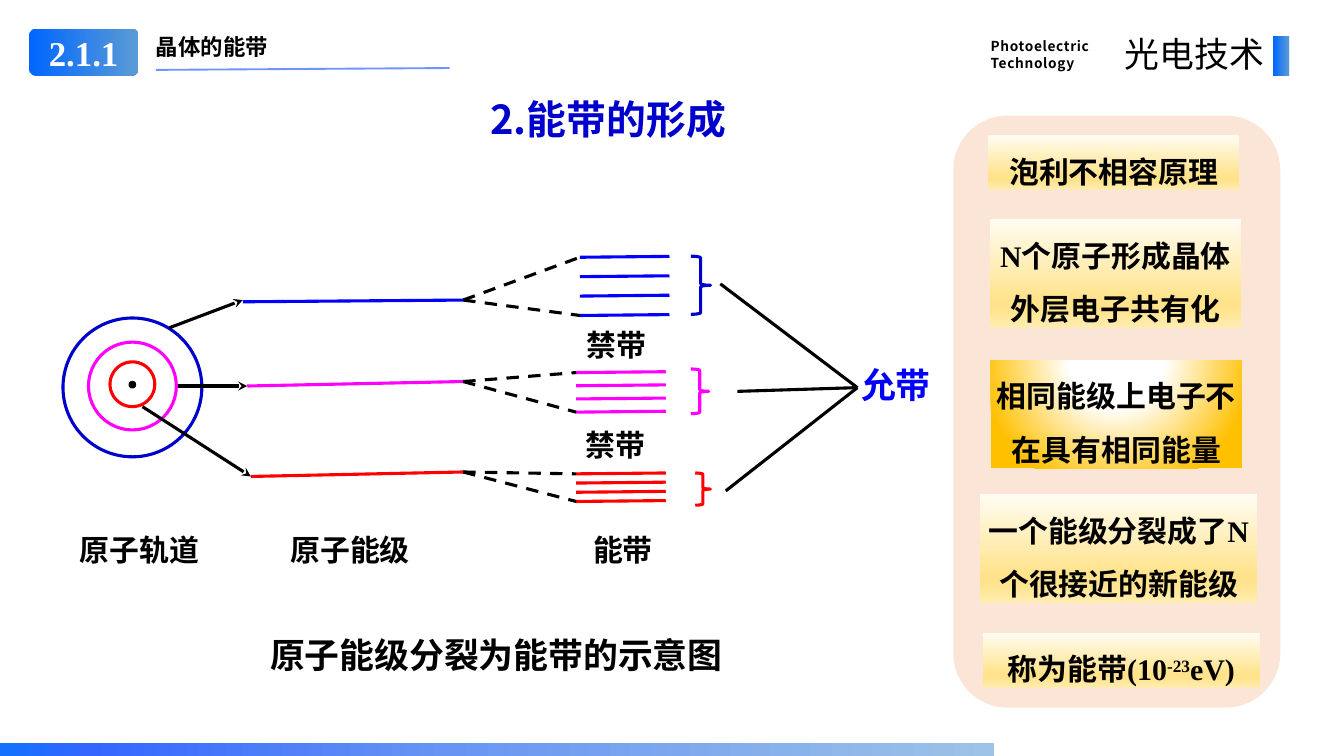
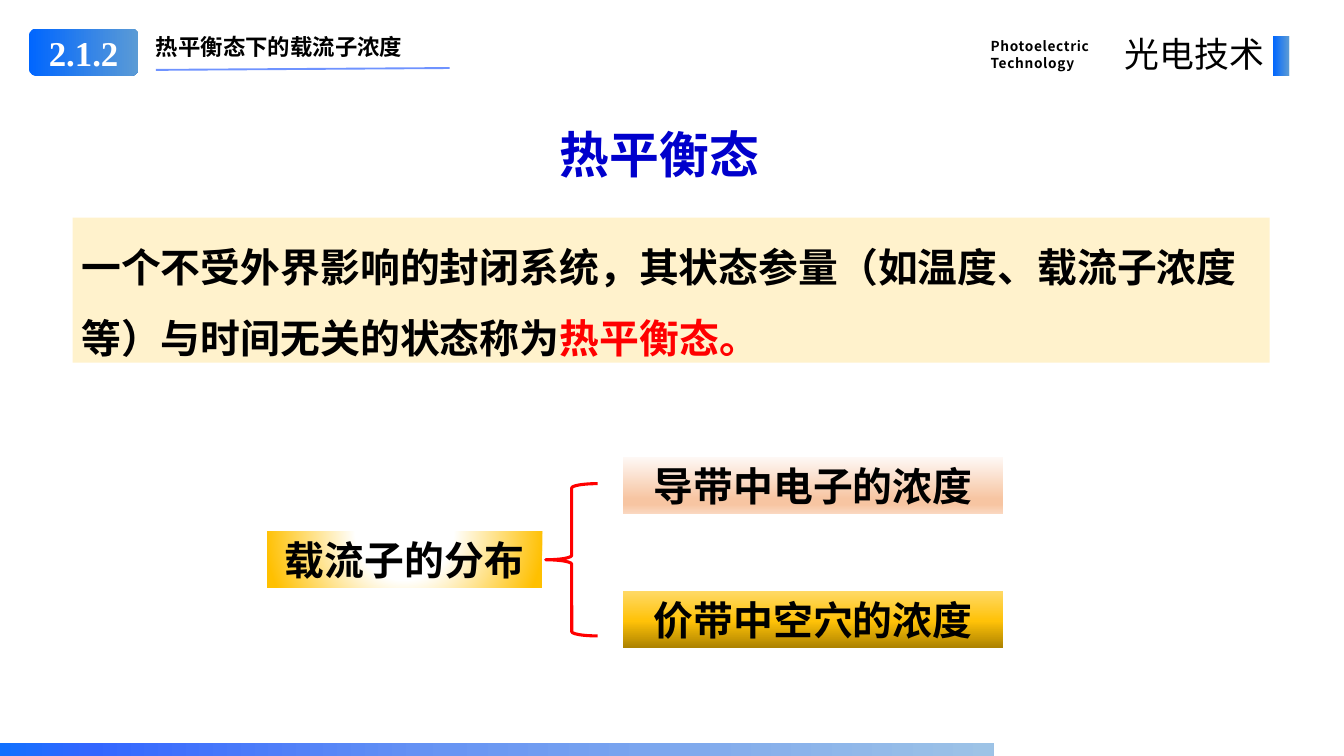
from dataclasses import dataclass, replace
from typing import NamedTuple

from lxml import etree
from pptx import Presentation
from pptx import util as u
from pptx.dml.color import RGBColor
from pptx.enum import dml, shapes, text
from pptx.oxml import ns

Kind = shapes.MSO_SHAPE
Align = text.PP_ALIGN
Anchor = text.MSO_ANCHOR


class Grad(NamedTuple):
    """Stops are (percent, colour); no angle means a radial fill."""
    stops: tuple
    angle: int | None = 0


@dataclass(frozen=True)
class Theme:
    sans: str = "Noto Sans CJK SC"
    serif: str = "Times New Roman"
    black: str = "000000"
    white: str = "FFFFFF"
    navy: str = "0000CC"
    blue: str = "0000FF"
    pink: str = "FF00FF"
    red: str = "FF0000"
    rule: str = "3366FF"
    panel: str = "FBE5D6"
    cream: str = "FFF2CC"
    tiny: int = 11
    small: int = 18
    body: int = 24
    large: int = 28
    big: int = 32
    huge: int = 40
    stroke: float = 2.5
    badge: Grad = Grad(((0, "0066FF"), (100, "5B9BD5")))
    foot: Grad = Grad(((0, "1271FE"), (9, "3366FF"), (45, "6895F3"), (100, "9DC3E6")))
    gold: Grad = Grad(((0, "FFFCF2"), (74, "FFE38C"), (83, "FFE38C"), (100, "FFECB2")), 90)
    peach: Grad = Grad(((0, "FEF8F5"), (74, "F7C5A2"), (83, "F7C5A2"), (100, "FAD8C1")), 90)
    amber: Grad = Grad(((0, "AB8100"), (48, "FFC208"), (100, "FFD966")), 270)
    glow: Grad = Grad(((0, "FFFFFF"), (35, "FFFFFF"), (100, "FFC000")), None)


T = Theme()


@dataclass(frozen=True)
class Style:
    size: int
    color: str = T.black
    bold: bool = True
    font: str = T.sans
    align: Align = Align.LEFT
    lead: float | u.Pt | None = None
    track: int = 0
    anchor: Anchor = Anchor.TOP
    inset: bool = True
    wrap: bool = True


class Box(NamedTuple):
    x: float
    y: float
    w: float
    h: float


class Dot(NamedTuple):
    x: float
    y: float


class Label(NamedTuple):
    box: Box
    words: str
    style: Style
    fill: str | Grad | None = None


class Band(NamedTuple):
    """One atomic level, the lines it splits into, and its brace."""
    color: str
    orbit: Dot
    tip: Dot
    start: Dot
    end: Dot
    split: Dot
    gap: float
    brace: Box
    edge: str
    fan: Dot


def rgb(code: str) -> RGBColor:
    return RGBColor.from_string(code)


def shade(shape, grad: Grad) -> None:
    """Fill a shape with a gradient of any number of stops."""
    shape.fill.background()
    old = shape._element.spPr.find(ns.qn("a:noFill"))
    node = etree.Element(ns.qn("a:gradFill"), rotWithShape="1")
    stops = etree.SubElement(node, ns.qn("a:gsLst"))
    for place, code in grad.stops:
        stop = etree.SubElement(stops, ns.qn("a:gs"), pos=str(place * 1000))
        etree.SubElement(stop, ns.qn("a:srgbClr"), val=code)
    if grad.angle is None:
        ring = etree.SubElement(node, ns.qn("a:path"), path="circle")
        etree.SubElement(ring, ns.qn("a:fillToRect"),
                         l="50000", t="-80000", r="50000", b="180000")
    else:
        etree.SubElement(node, ns.qn("a:lin"), ang=str(grad.angle * 60000), scaled="0")
    old.getparent().replace(old, node)


def draw(slide, kind: Kind, box: Box, fill: str | Grad | None = None,
         edge: str | None = None, width: float = T.stroke):
    shape = slide.shapes.add_shape(kind, *map(u.Pt, box))
    shape.shadow.inherit = False
    if isinstance(fill, Grad):
        shade(shape, fill)
    elif fill:
        shape.fill.solid()
        shape.fill.fore_color.rgb = rgb(fill)
    else:
        shape.fill.background()
    if edge:
        shape.line.color.rgb = rgb(edge)
        shape.line.width = u.Pt(width)
    else:
        shape.line.fill.background()
    return shape


def write(shape, words: str, style: Style):
    """Set the text, one paragraph a line, and return the last paragraph."""
    frame = shape.text_frame
    frame.text = words
    frame.word_wrap = style.wrap
    frame.auto_size = text.MSO_AUTO_SIZE.NONE
    frame.vertical_anchor = style.anchor
    if not style.inset:
        frame.margin_left = frame.margin_right = 0
        frame.margin_top = frame.margin_bottom = 0
    for para in frame.paragraphs:
        para.alignment = style.align
        para.line_spacing = style.lead
        font = para.font
        font.name, font.size, font.bold = style.font, u.Pt(style.size), style.bold
        font.color.rgb = rgb(style.color)
        props = para._p.pPr.find(ns.qn("a:defRPr"))
        etree.SubElement(props, ns.qn("a:ea"), typeface=T.sans)
        if style.track:
            props.set("spc", str(style.track))
    return para


def label(slide, item: Label):
    if item.fill:
        shape = draw(slide, Kind.RECTANGLE, item.box, item.fill)
    else:
        shape = slide.shapes.add_textbox(*map(u.Pt, item.box))
    return write(shape, item.words, item.style)


def add(para, words: str):
    run = para.add_run()
    run.text = words
    return run


def line(slide, start: Dot, end: Dot, color: str = T.black, width: float = T.stroke,
         dash: bool = False, arrow: bool = False, alpha: int = 100) -> None:
    link = slide.shapes.add_connector(
        shapes.MSO_CONNECTOR.STRAIGHT, *map(u.Pt, (*start, *end)))
    link.line.color.rgb = rgb(color)
    link.line.width = u.Pt(width)
    if dash:
        link.line.dash_style = dml.MSO_LINE.DASH
    props = link._element.spPr
    stroke = props.find(ns.qn("a:ln"))
    if arrow:
        etree.SubElement(stroke, ns.qn("a:tailEnd"), type="stealth")
    if alpha < 100:
        tint = stroke.find(".//" + ns.qn("a:srgbClr"))
        etree.SubElement(tint, ns.qn("a:alpha"), val=str(alpha * 1000))
    etree.SubElement(props, ns.qn("a:effectLst"))


HEAD = Style(T.small)
BRAND = Style(T.tiny, lead=u.Pt(14), track=50)
COURSE = Style(T.large, bold=False, align=Align.RIGHT, track=20)
BADGE = Style(T.large, T.white, font=T.serif, align=Align.CENTER, anchor=Anchor.MIDDLE)
TOPIC = Style(T.big, T.navy, align=Align.CENTER)
NAME = Style(T.body, align=Align.CENTER, inset=False)
LEFT = replace(NAME, align=Align.LEFT)
NOTE = replace(NAME, font=T.serif, lead=1.5)
TERM = Style(T.big, align=Align.CENTER)


def base(deck, number: str, title: str):
    """Add a slide with the shared header and footer."""
    slide = deck.slides.add_slide(deck.slide_layouts[5])
    head = slide.shapes.title
    head.left, head.top, head.width, head.height = map(u.Pt, (118, 23, 252, 29))
    write(head, title, HEAD)
    label(slide, Label(Box(789, 26, 114, 35), "Photoelectric\nTechnology", BRAND))
    draw(slide, Kind.RECTANGLE, Box(1023, 29, 13, 32.5), T.badge)
    badge = draw(slide, Kind.ROUNDED_RECTANGLE, Box(23, 23, 88.5, 38), T.badge)
    write(badge, number, BADGE)
    line(slide, Dot(125.3, 56.2), Dot(361.4, 54.7), T.rule, 1.5, alpha=70)
    label(slide, Label(Box(886.3, 23, 136.8, 41), "光电技术", COURSE))
    draw(slide, Kind.RECTANGLE, Box(0, 597.6, 798.5, 10.1), T.foot)
    return slide


BANDS = (
    Band(T.blue, Dot(136.1, 263.5), Dot(195.1, 241.2), Dot(195.1, 242.6), Dot(372.2, 241.2),
         Dot(466, 206.8), 15.6, Box(555.1, 205.9, 15.8, 46.8), T.navy, Dot(578.9, 228.2)),
    Band(T.pink, Dot(143.3, 310.3), Dot(198.7, 310.3), Dot(198.7, 310.3), Dot(372.2, 306.7),
         Dot(463, 299.5), 10.6, Box(555.1, 296.6, 14.4, 36), T.pink, Dot(592.6, 314.6)),
    Band(T.red, Dot(114.5, 326.9), Dot(201.6, 383), Dot(201.6, 383), Dot(372.2, 379.4),
         Dot(463, 380.9), 7.4, Box(558.7, 380.2, 12.2, 25.9), T.red, Dot(583.2, 394.6)),
)
COUNT = 4
HUB = Dot(689, 311.6)
NAMES = (
    Label(Box(53.3, 427.7, 117.4, 33.8), "原子轨道", NAME, T.white),
    Label(Box(233.3, 427.7, 106.6, 24.5), "原子能级", LEFT, T.white),
    Label(Box(476.6, 427.7, 59, 24.5), "能带", LEFT, T.white),
    Label(Box(465.8, 262.8, 59.8, 20.9), "禁带", NAME, T.white),
    Label(Box(458.6, 342.7, 71.3, 27.4), "禁带", NAME, T.white),
    Label(Box(691.9, 292.3, 61.2, 34.6), "允带",
          replace(LEFT, size=T.large, color=T.blue)),
    Label(Box(155.5, 509, 486.7, 41.8), "原子能级分裂为能带的示意图",
          replace(NAME, size=T.large), T.white),
    Label(Box(371.5, 72.7, 234.7, 46), "2.能带的形成", TOPIC),
)
NOTES = (
    Label(Box(794.2, 108.7, 201.6, 43.9), "泡利不相容原理", NOTE, T.gold),
    Label(Box(795.6, 176.4, 201.6, 87.1), "N个原子形成晶体\n外层电子共有化", NOTE, T.gold),
    Label(Box(796.3, 289.4, 201.6, 87.1), "相同能级上电子不在具有相同能量", NOTE, T.glow),
    Label(Box(787.7, 397.4, 222.5, 87.1), "一个能级分裂成了N个很接近的新能级", NOTE, T.gold),
    Label(Box(789.8, 509, 222.5, 43.9), "称为能带(10", NOTE, T.gold),
)


def atom(slide) -> None:
    mid = 106.4
    for y, size, color in ((311.4, 111.6, T.navy), (310.3, 70.6, T.pink), (308.9, 36, T.red)):
        draw(slide, Kind.OVAL, Box(mid - size / 2, y - size / 2, size, size), T.white, color)
    draw(slide, Kind.OVAL, Box(mid - 2.5, 306.7, 5, 5), T.black, T.black, 1.25)


def split(slide, band: Band) -> None:
    line(slide, band.orbit, band.tip, arrow=True)
    line(slide, band.start, band.end, band.color)
    x, top = band.split
    rows = [top + band.gap * i for i in range(COUNT)]
    for y in rows:
        line(slide, Dot(x, y), Dot(x + 72, y - 0.7), band.color)
    for y in (rows[0], rows[-1]):
        line(slide, band.end, Dot(x, y), dash=True)
    line(slide, HUB, band.fan)
    draw(slide, Kind.RIGHT_BRACE, band.brace, edge=band.edge)


def bands(deck) -> None:
    slide = base(deck, "2.1.1", "晶体的能带")
    draw(slide, Kind.ROUNDED_RECTANGLE, Box(766, 92.9, 262.8, 475.9), T.panel)
    atom(slide)
    for band in BANDS:
        split(slide, band)
    for item in NAMES:
        label(slide, item)
    for item in NOTES:
        last = label(slide, item)
    power = add(last, "-23")
    power.font._element.set("baseline", "30000")
    add(last, "eV)")


def balance(deck) -> None:
    slide = base(deck, "2.1.2", "热平衡态下的载流子浓度")
    label(slide, Label(Box(442.8, 95.8, 176.4, 55.4), "热平衡态",
                       Style(T.huge, T.navy, wrap=False)))
    para = label(slide, Label(
        Box(58.3, 175, 961.9, 116.6),
        "一个不受外界影响的封闭系统，其状态参量（如温度、载流子浓度等）与时间无关的状态称为",
        Style(T.big, lead=1.5, anchor=Anchor.MIDDLE), T.cream))
    add(para, "热平衡态。").font.color.rgb = rgb(T.red)
    for item in (
        Label(Box(214.6, 427, 221, 45.4), "载流子的分布", TERM, T.glow),
        Label(Box(500.4, 367.2, 306, 46), "导带中电子的浓度", TERM, T.peach),
        Label(Box(500.4, 475.2, 306, 46), "价带中空穴的浓度", TERM, T.amber),
    ):
        label(slide, item)
    draw(slide, Kind.LEFT_BRACE, Box(438.5, 388.8, 41.8, 122.4), edge=T.red)


def main() -> None:
    deck = Presentation()
    deck.slide_width, deck.slide_height = u.Pt(1080), u.Pt(607.68)
    bands(deck)
    balance(deck)
    deck.save("out.pptx")


if __name__ == "__main__":
    main()
